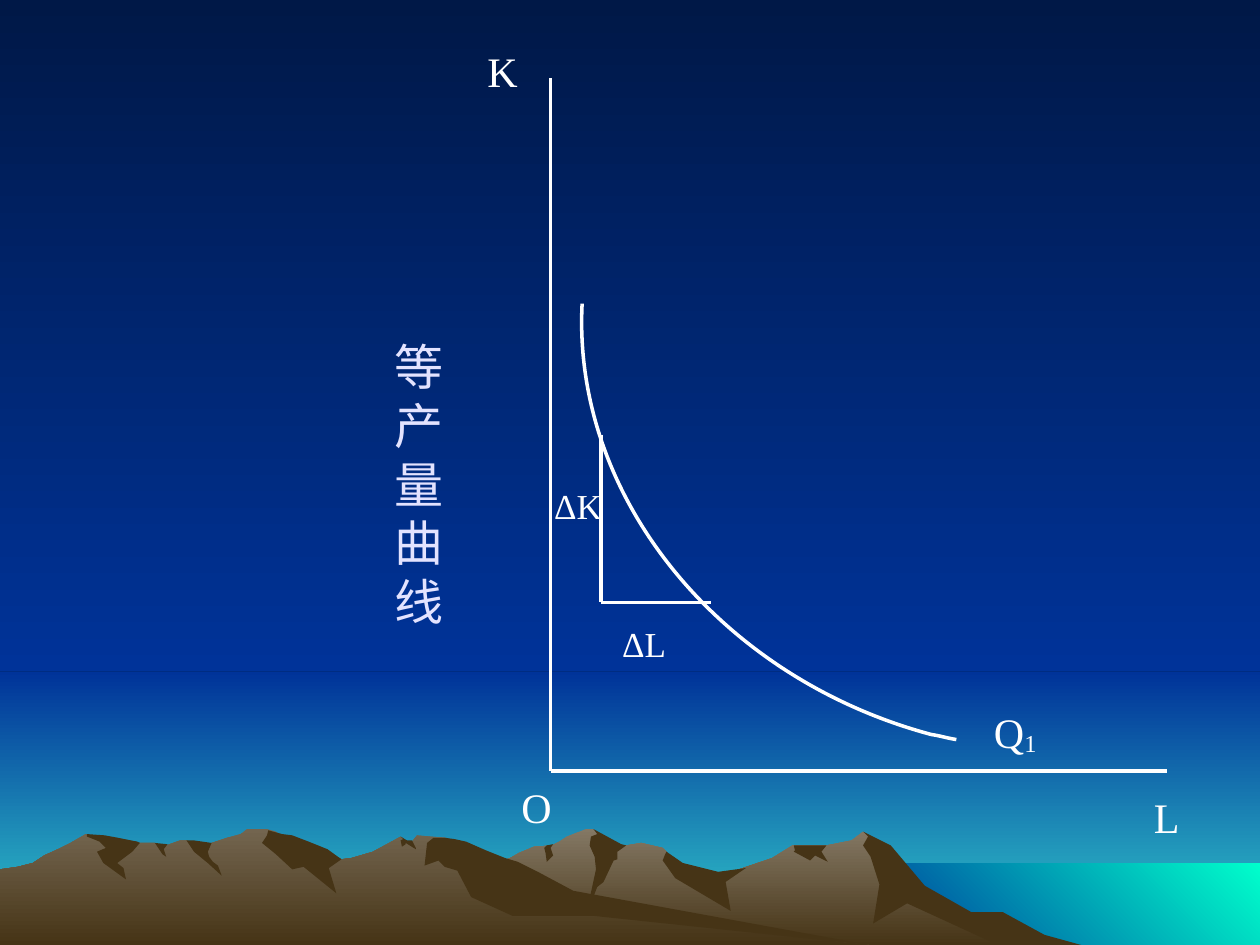
from lxml import etree
from pptx import Presentation
from pptx.dml.color import RGBColor
from pptx.enum.shapes import MSO_CONNECTOR, MSO_SHAPE
from pptx.enum.text import MSO_ANCHOR, PP_ALIGN
from pptx.oxml.ns import qn
from pptx.util import Inches, Pt

RECTANGLE = MSO_SHAPE.RECTANGLE
STRAIGHT = MSO_CONNECTOR.STRAIGHT
LEFT = PP_ALIGN.LEFT
TOP = MSO_ANCHOR.TOP

FONT = "Times New Roman"
WHITE = RGBColor(0xFF, 0xFF, 0xFF)
LAVENDER = RGBColor(0xE3, 0xE3, 0xFF)
NIGHT = RGBColor(0x00, 0x18, 0x47)
BLUE = RGBColor(0x00, 0x33, 0x99)
TURQUOISE = RGBColor(0x33, 0xCC, 0xCC)
SEA_GREEN = RGBColor(0x00, 0xFF, 0xCC)
BROWN = RGBColor(0x46, 0x34, 0x16)
RIGHT_ROCK = RGBColor(0x84, 0x78, 0x64)
LEFT_ROCK = RGBColor(0x73, 0x65, 0x4F)

DOWNWARD = 270
UP_RIGHT = 45

RIGHT_RIDGE = [
    (8.02, 7.4), (7.78, 7.27), (7.64, 7.23), (7.23, 6.98), (7.02, 6.71), (6.85, 6.6),
    (6.76, 6.67), (6.56, 6.71), (6.29, 6.71), (6.13, 6.81), (5.66, 6.97), (5.36, 6.9),
    (5.29, 6.76), (5.26, 6.73), (5.09, 6.69), (4.97, 6.71), (4.86, 6.73), (4.74, 6.61),
    (4.71, 6.58), (4.65, 6.58), (4.5, 6.64), (4.44, 6.68), (4.38, 6.71), (4.24, 6.72),
    (4.12, 6.77), (4.05, 6.81), (3.94, 6.85), (3.55, 6.98), (3.27, 7.09), (2.77, 7.39),
    (2.58, 7.5), (8.21, 7.5),
]
RIGHT_SHADOWS = [
    [(7.96, 7.24), (7.71, 7.24), (7.34, 7.03), (7.07, 6.71), (6.85, 6.6), (6.89, 6.64),
     (6.85, 6.71), (6.91, 6.8), (6.98, 7.02), (6.93, 7.33), (7.2, 7.17), (7.92, 7.5),
     (8.58, 7.5), (8.29, 7.42)],
    [(4.71, 6.58), (4.74, 6.62), (4.69, 6.64), (4.68, 6.71), (4.72, 6.8), (4.73, 6.9),
     (4.65, 7.27), (4.74, 7.04), (4.79, 7), (4.87, 6.83), (4.9, 6.82), (4.9, 6.76),
     (4.97, 6.71), (4.93, 6.7)],
    [(5.29, 6.76), (5.28, 6.78), (5.26, 6.83), (5.36, 6.97), (5.8, 7.23), (5.76, 7),
     (5.92, 6.89), (5.7, 6.92), (5.42, 6.85)],
    [(6.5, 6.71), (6.3, 6.71), (6.31, 6.75), (6.3, 6.76), (6.43, 6.83), (6.47, 6.79),
     (6.57, 6.84), (6.52, 6.76), (6.56, 6.71)],
    [(4.33, 6.77), (4.32, 6.73), (4.34, 6.71), (4.39, 6.7), (4.37, 6.73), (4.39, 6.79),
     (4.34, 6.84)],
]
LEFT_RIDGE = [
    (6.9, 7.5), (6.67, 7.48), (4.32, 7.12), (3.54, 6.65), (3.31, 6.63), (3.27, 6.68),
    (3.23, 6.68), (3.18, 6.64), (2.96, 6.76), (2.79, 6.81), (2.71, 6.82), (2.6, 6.76),
    (2.36, 6.81), (2.23, 6.63), (2.19, 6.6), (2.12, 6.58), (1.96, 6.58), (1.91, 6.62),
    (1.8, 6.65), (1.68, 6.69), (1.6, 6.71), (1.48, 6.67), (1.43, 6.67), (1.32, 6.71),
    (1.28, 6.71), (1.23, 6.69), (1.11, 6.69), (0.94, 6.71), (0.68, 6.62), (0.56, 6.69),
    (0.46, 6.74), (0.35, 6.79), (0.26, 6.85), (0.14, 6.88), (0, 6.9), (0, 7.5),
]
LEFT_SHADOWS = [
    [(2.12, 6.63), (2.08, 6.69), (2.19, 6.78), (2.32, 6.9), (2.41, 6.88), (2.67, 7.09),
     (2.61, 6.89), (2.71, 6.82), (2.6, 6.74), (2.45, 6.68), (2.32, 6.63), (2.24, 6.62),
     (2.13, 6.59)],
    [(3.7, 6.68), (3.61, 6.66), (3.54, 6.65), (3.44, 6.65), (3.39, 6.69), (3.37, 6.87),
     (3.48, 6.83), (3.53, 6.88), (3.63, 6.91), (3.74, 7.12), (4.07, 7.27), (4.72, 7.27),
     (6.9, 7.5), (4.55, 7.07), (4.27, 6.92), (4.11, 6.84), (4.01, 6.81), (3.86, 6.75)],
    [(3.18, 6.67), (3.2, 6.66), (3.18, 6.64), (3.23, 6.67), (3.27, 6.67), (3.3, 6.73),
     (3.3, 6.74), (3.22, 6.69), (3.22, 6.7), (3.19, 6.72)],
    [(1.54, 6.67), (1.68, 6.69), (1.65, 6.76), (1.66, 6.8), (1.69, 6.84), (1.73, 6.87),
     (1.76, 6.95), (1.65, 6.85), (1.54, 6.76), (1.48, 6.67)],
    [(1.33, 6.7), (1.3, 6.74), (1.32, 6.8), (1.29, 6.78), (1.23, 6.69)],
    [(1.09, 6.68), (1.11, 6.69), (1.05, 6.76), (0.93, 6.85), (0.98, 6.89), (1, 6.98),
     (0.82, 6.85), (0.77, 6.76), (0.84, 6.73), (0.79, 6.68), (0.69, 6.64), (0.69, 6.62),
     (0.83, 6.63), (0.94, 6.65)],
]

# Start point, then two control points and an end point per Bezier segment.
ISOQUANT = [
    (4.62, 2.41), (4.54, 3.94), (5.71, 5.38), (7.39, 5.83),
    (7.46, 5.84), (7.52, 5.86), (7.59, 5.87),
]
LINES = [
    (4.37, 0.62, 4.37, 6.12),
    (4.37, 6.12, 9.26, 6.12),
    (4.77, 3.45, 4.77, 4.78),
    (4.77, 4.78, 5.64, 4.78),
]
LABELS = [
    ("K", 3.77, 0.31, 0.4, 0.5, 24),
    ("L", 9.06, 6.23, 0.8, 0.5, 24),
    ("O", 4.04, 6.15, 0.67, 0.5, 24),
    ("ΔK", 4.3, 3.8, 0.67, 0.44, 20),
    ("ΔL", 4.84, 4.89, 0.77, 0.44, 20),
]


def set_gradient(fill, colors, angle):
    fill.gradient()
    fill.gradient_angle = angle
    for stop, color in zip(fill.gradient_stops, colors):
        stop.color.rgb = color


def add_gradient_rectangle(slide, left, top, width, height, colors, angle):
    shape = slide.shapes.add_shape(
        RECTANGLE, Inches(left), Inches(top), Inches(width), Inches(height))
    shape.shadow.inherit = False
    shape.line.fill.background()
    set_gradient(shape.fill, colors, angle)


def add_outline(slide, points, close):
    start, *others = [(Inches(x), Inches(y)) for x, y in points]
    builder = slide.shapes.build_freeform(*start)
    builder.add_line_segments(others, close=close)
    shape = builder.convert_to_shape()
    shape.shadow.inherit = False
    return shape


def add_mountains(slide, ridge, rock, shadows):
    shape = add_outline(slide, ridge, True)
    shape.line.fill.background()
    set_gradient(shape.fill, (rock, BROWN), DOWNWARD)
    for shadow in shadows:
        shape = add_outline(slide, shadow, True)
        shape.line.fill.background()
        shape.fill.solid()
        shape.fill.fore_color.rgb = BROWN


def style_line(line):
    line.color.rgb = WHITE
    line.width = Pt(2)


def add_curve(slide, points):
    """Draw Bezier segments by merging every three path vertices into one curve."""
    shape = add_outline(slide, points, False)
    shape.fill.background()
    style_line(shape.line)
    segments = list(shape._element.iter(qn("a:lnTo")))
    path = segments[0].getparent()
    for first in range(0, len(segments), 3):
        curve = etree.SubElement(path, qn("a:cubicBezTo"))
        for segment in segments[first:first + 3]:
            curve.append(segment[0])
            path.remove(segment)


def add_line(slide, x1, y1, x2, y2):
    connector = slide.shapes.add_connector(
        STRAIGHT, Inches(x1), Inches(y1), Inches(x2), Inches(y2))
    style_line(connector.line)
    etree.SubElement(connector._element.spPr, qn("a:effectLst"))


def style_text(paragraph, size, color):
    paragraph.alignment = LEFT
    paragraph.font.name = FONT
    paragraph.font.size = Pt(size)
    paragraph.font.color.rgb = color


def add_label(slide, text, left, top, width, height, size):
    box = slide.shapes.add_textbox(Inches(left), Inches(top), Inches(width), Inches(height))
    box.text_frame.word_wrap = True
    paragraph = box.text_frame.paragraphs[0]
    paragraph.add_run().text = text
    style_text(paragraph, size, WHITE)
    return paragraph


def place_title(slide, text):
    """Set the title in a box one character wide, in front of the scenery."""
    title = slide.shapes.title
    title.left, title.top = Inches(3.03), Inches(2.62)
    title.width, title.height = Inches(0.6), Inches(2.44)
    frame = title.text_frame
    frame.text = text
    frame.word_wrap = True
    frame.vertical_anchor = TOP
    style_text(frame.paragraphs[0], 28, LAVENDER)
    slide.shapes._spTree.append(title._element)


def main():
    presentation = Presentation()
    presentation.slide_width, presentation.slide_height = Inches(10), Inches(7.5)
    slide = presentation.slides.add_slide(presentation.slide_layouts[5])
    set_gradient(slide.background.fill, (NIGHT, BLUE), DOWNWARD)
    add_gradient_rectangle(slide, 0, 5.33, 10, 2.17, (BLUE, TURQUOISE), DOWNWARD)
    add_gradient_rectangle(slide, 0, 0, 10, 5.33, (NIGHT, BLUE), DOWNWARD)
    add_gradient_rectangle(slide, 6.83, 6.85, 3.17, 0.65, (BLUE, SEA_GREEN), UP_RIGHT)
    add_mountains(slide, RIGHT_RIDGE, RIGHT_ROCK, RIGHT_SHADOWS)
    add_mountains(slide, LEFT_RIDGE, LEFT_ROCK, LEFT_SHADOWS)
    for line in LINES:
        add_line(slide, *line)
    add_curve(slide, ISOQUANT)
    place_title(slide, "等产量曲线")
    for label in LABELS:
        add_label(slide, *label)
    subscript = add_label(slide, "Q", 7.79, 5.56, 0.91, 0.5, 24).add_run()
    subscript.text = "1"
    subscript._r.get_or_add_rPr().set("baseline", "-10000")
    presentation.save("out.pptx")


if __name__ == "__main__":
    main()
